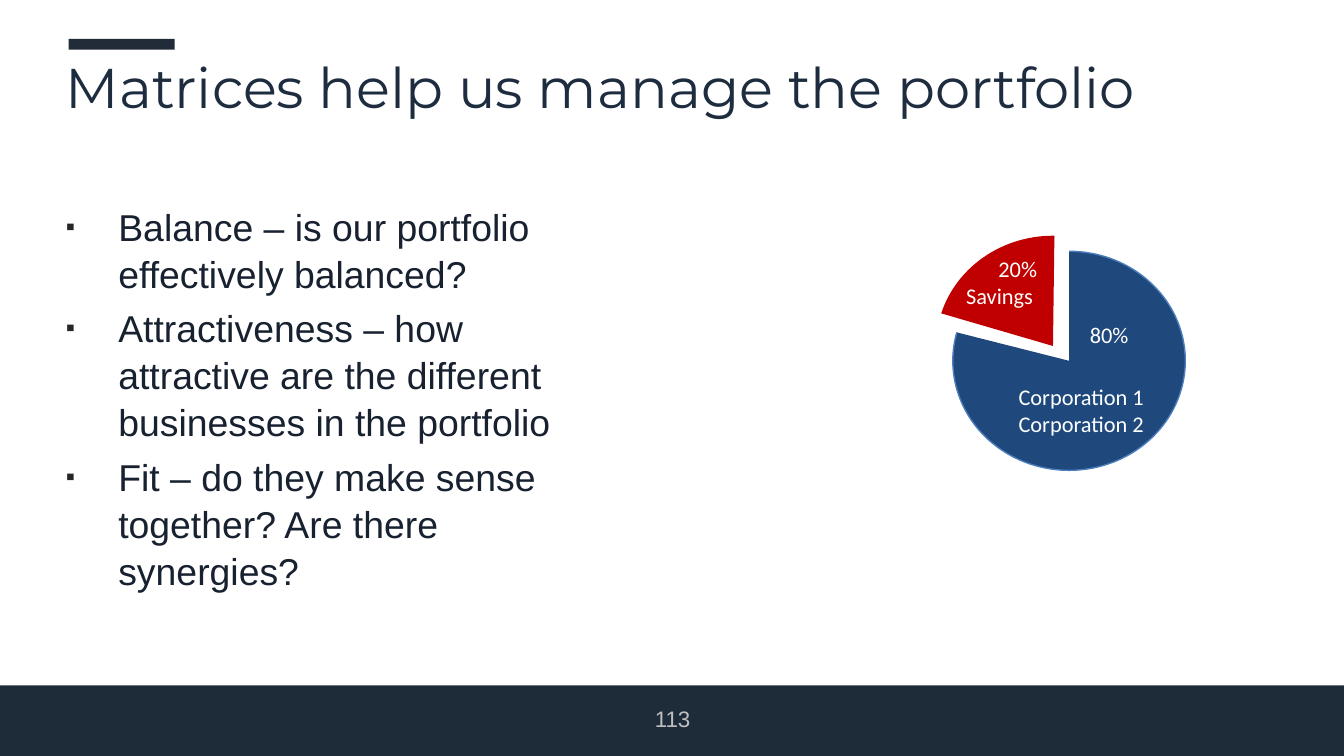
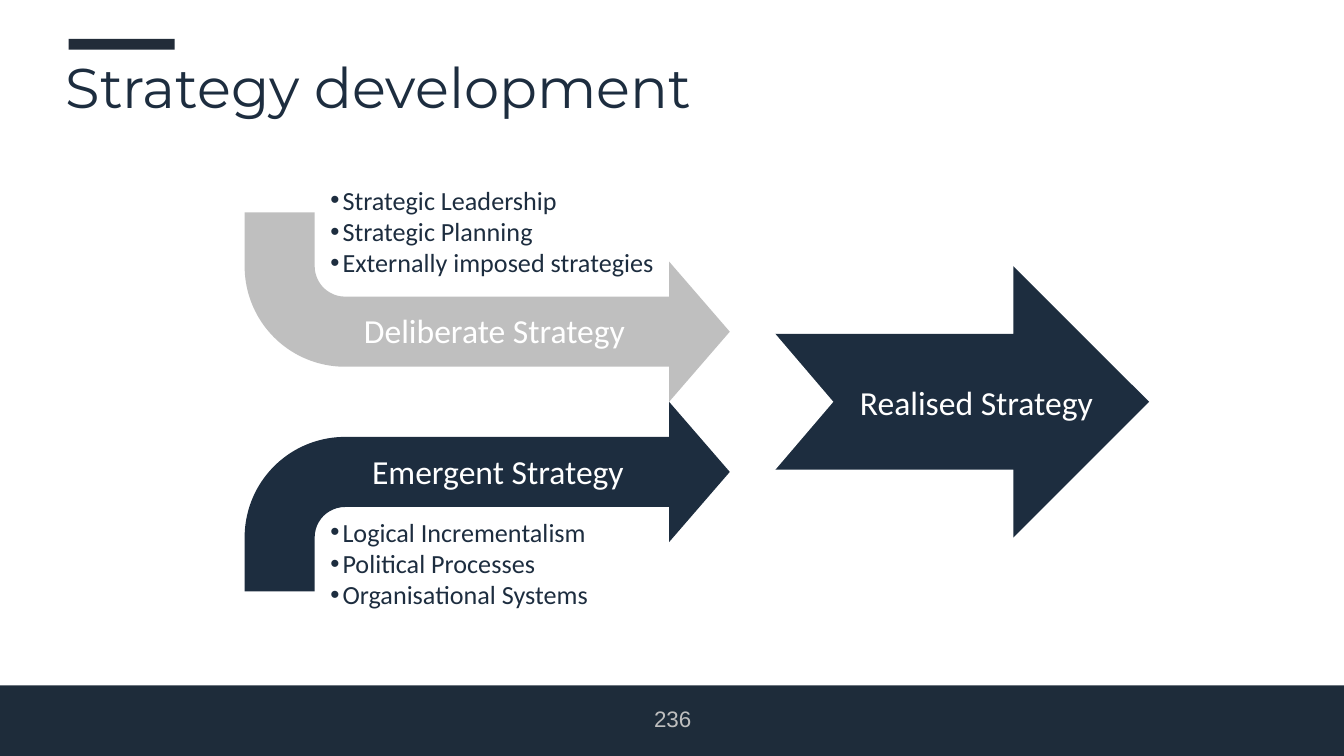
from copy import deepcopy

from lxml import etree
from pptx import Presentation
from pptx import util as u
from pptx.dml.color import RGBColor
from pptx.enum import shapes, text
from pptx.oxml.ns import qn

COLOURS = {
    "footer": "122130", "ink": "17212F", "navy": "1D2D3F", "bullet": "262626",
    "grey": "BFBFBF", "white": "FFFFFF", "blue": "1F497D", "blue edge": "4B7EBC",
    "red": "C00000",
}
HEADING, BODY, LABEL = "Montserrat", "Arial", "Calibri"
PRESET = shapes.MSO_SHAPE

# Places are (left, top, width, height) on a square grid, 100 columns to the slide's width.
COLUMNS = 100
WIDTH = u.Inches(10)
HEIGHT = WIDTH * 9 // 16
CELL = WIDTH / COLUMNS
ROWS = HEIGHT / CELL

BANDS = [
    ((0, 0, COLUMNS, ROWS), "footer", 95),
    ((0, 0, COLUMNS, 51), "white", 100),
    ((5.1, 2.9, 7.9, 0.8), "ink", 95),
]
TITLE_AT = (3.9, 3.4, 92.6, 5.2)
NUMBER_AT = (47.1, 52, 5.9, 3)

PORTFOLIO = {
    "title": "Matrices help us manage the portfolio",
    "number": "113",
    "questions_at": (3.9, 14.5, 43.2, 34.1),
    "questions": [
        "Balance – is our portfolio effectively balanced?",
        "Attractiveness – how attractive are the different businesses in the portfolio",
        "Fit – do they make sense together? Are there synergies?",
    ],
    "slice_size": (17.3, 16.3),
    # left, top, start and end angle, fill, line
    "slices": [
        (70.9, 18.7, 162, 116.52, "blue", "blue edge"),
        (69.7, 17.6, 117.76, 162.45, "red", "red"),
    ],
    "labels": [
        ("Corporation 1\nCorporation 2", (74.8, 28, 11.8, 5)),
        ("Savings", (70.9, 20.5, 7, 3)),
        ("20%", (73.3, 18.5, 4.9, 3)),
        ("80%", (80.1, 23.4, 4.9, 3)),
    ],
}

STRATEGY = {
    "title": "Strategy development",
    "number": "236",
    "arrow_at": (18.2, 15.8, 36.1, 14.1),
    "arrow_bend": (0.37, 0.37, 0.32, 0.53),
    "list_size": (23.6, 35.5, 8.1),  # left, width, height
    # name, its place, arrow fill, flipped, top of the list, list
    "sources": [
        ("Deliberate Strategy", (26.1, 22.6, 21.7, 4), "grey", True, 13.2,
         ["Strategic Leadership", "Strategic Planning", "Externally imposed strategies"]),
        ("Emergent Strategy", (26.7, 33.1, 20.9, 4), "navy", False, 37.9,
         ["Logical Incrementalism", "Political Processes", "Organisational Systems"]),
    ],
    "result": "Realised Strategy",
    "result_at": (63, 27.9, 19.9, 4),
    "result_arrow_at": (57.2, 19.8, 28.3, 20.2),
    "notch_at": (50.9, 23.4, 11.1, 13),
}


def rgb(name):
    return RGBColor.from_string(COLOURS[name])


def grid(place):
    return [round(length * CELL) for length in place]


def add_bullet(para, char, indent, colour=None, percent=None):
    props = para._p.get_or_add_pPr()
    props.set("marL", str(u.Inches(indent)))
    props.set("indent", str(-u.Inches(indent)))
    if colour:
        holder = etree.SubElement(props, qn("a:buClr"))
        etree.SubElement(holder, qn("a:srgbClr"), val=COLOURS[colour])
    if percent:
        etree.SubElement(props, qn("a:buSzPct"), val=str(percent * 1000))
    etree.SubElement(props, qn("a:buFont"), typeface="Arial")
    etree.SubElement(props, qn("a:buChar"), char=char)


def write(box, lines, size, font, colour, align=text.PP_ALIGN.LEFT, wrap=True,
          grow=False, bullet=None, spacing=None, gap=0):
    """Fill a box with one paragraph per line, all in one format."""
    frame = box.text_frame
    frame.word_wrap = wrap
    frame.auto_size = (text.MSO_AUTO_SIZE.SHAPE_TO_FIT_TEXT if grow
                       else text.MSO_AUTO_SIZE.NONE)
    frame.vertical_anchor = text.MSO_ANCHOR.TOP
    for index, line in enumerate(lines):
        para = frame.add_paragraph() if index else frame.paragraphs[0]
        para.text = line
        para.alignment = align
        para.space_before = u.Pt(gap if index else 0)
        if spacing:
            para.line_spacing = spacing
        if bullet:
            add_bullet(para, **bullet)
        for span in para.runs:
            span.font.size = u.Pt(size)
            span.font.name = font
            span.font.color.rgb = rgb(colour)
        for line_break in para._p.findall(qn("a:br")):
            line_break.append(deepcopy(para.runs[0]._r.rPr))


def add_text(page, place, lines, size, font, colour, **options):
    box = page.shapes.add_textbox(*grid(place))
    write(box, lines, size, font, colour, **options)


def fill_placeholder(box, place, lines, size, font, colour, **options):
    box.left, box.top, box.width, box.height = grid(place)
    write(box, lines, size, font, colour, **options)


def add_shape(page, preset, place, fill, line=None, adjust=(), opacity=100):
    shape = page.shapes.add_shape(preset, *grid(place))
    shape.shadow.inherit = False
    shape.fill.solid()
    shape.fill.fore_color.rgb = rgb(fill)
    if opacity < 100:
        colour = shape.element.spPr.find(qn("a:solidFill"))[0]
        etree.SubElement(colour, qn("a:alpha"), val=str(opacity * 1000))
    if line:
        shape.line.color.rgb = rgb(line)
        shape.line.width = u.Pt(0.75)
    else:
        shape.line.fill.background()
    for index, value in enumerate(adjust):
        shape.adjustments[index] = value
    return shape


def add_page(deck, layout, content):
    page = deck.slides.add_slide(deck.slide_layouts[layout])
    fill_placeholder(page.shapes.title, TITLE_AT, [content["title"]], 30, HEADING, "navy")
    add_text(page, NUMBER_AT, [content["number"]], 12, BODY, "grey",
             align=text.PP_ALIGN.CENTER)
    return page


def move_bands_to_master(deck, page):
    """Draw the bands on a page, then hand them to the master for every page."""
    for place, fill, opacity in BANDS:
        band = add_shape(page, PRESET.RECTANGLE, place, fill, opacity=opacity)
        deck.slide_master.shapes.element.append(band.element)


def build_portfolio(deck):
    page = add_page(deck, 1, PORTFOLIO)
    move_bands_to_master(deck, page)
    fill_placeholder(page.placeholders[1], PORTFOLIO["questions_at"],
                     PORTFOLIO["questions"], 20, BODY, "ink", spacing=1.05, gap=4,
                     bullet=dict(char="▪", indent=0.39, colour="bullet", percent=70))
    for left, top, start, end, fill, line in PORTFOLIO["slices"]:
        add_shape(page, PRESET.ARC, (left, top, *PORTFOLIO["slice_size"]), fill, line,
                  adjust=(start, end))
    for label, place in PORTFOLIO["labels"]:
        add_text(page, place, [label], 12, LABEL, "white", wrap=False, grow=True)


def build_strategy(deck):
    page = add_page(deck, 5, STRATEGY)
    left, top, width, height = STRATEGY["arrow_at"]
    list_left, list_width, list_height = STRATEGY["list_size"]
    for row, (name, place, fill, flipped, list_top, items) in enumerate(STRATEGY["sources"]):
        arrow = add_shape(page, PRESET.BENT_ARROW, (left, top + row * height, width, height),
                          fill, adjust=STRATEGY["arrow_bend"])
        if flipped:
            arrow.element.spPr.xfrm.set("flipV", "1")
        add_text(page, place, [name], 18, LABEL, "white", wrap=False, grow=True)
        add_text(page, (list_left, list_top, list_width, list_height), items, 14, LABEL,
                 "navy", grow=True, bullet=dict(char="•", indent=0.09))
    add_shape(page, PRESET.RIGHT_ARROW, STRATEGY["result_arrow_at"], "navy")
    add_shape(page, PRESET.DIAMOND, STRATEGY["notch_at"], "white")
    add_text(page, STRATEGY["result_at"], [STRATEGY["result"]], 18, LABEL, "white", grow=True)


def main():
    deck = Presentation()
    deck.slide_width, deck.slide_height = WIDTH, HEIGHT
    build_portfolio(deck)
    build_strategy(deck)
    deck.save("out.pptx")


if __name__ == "__main__":
    main()
